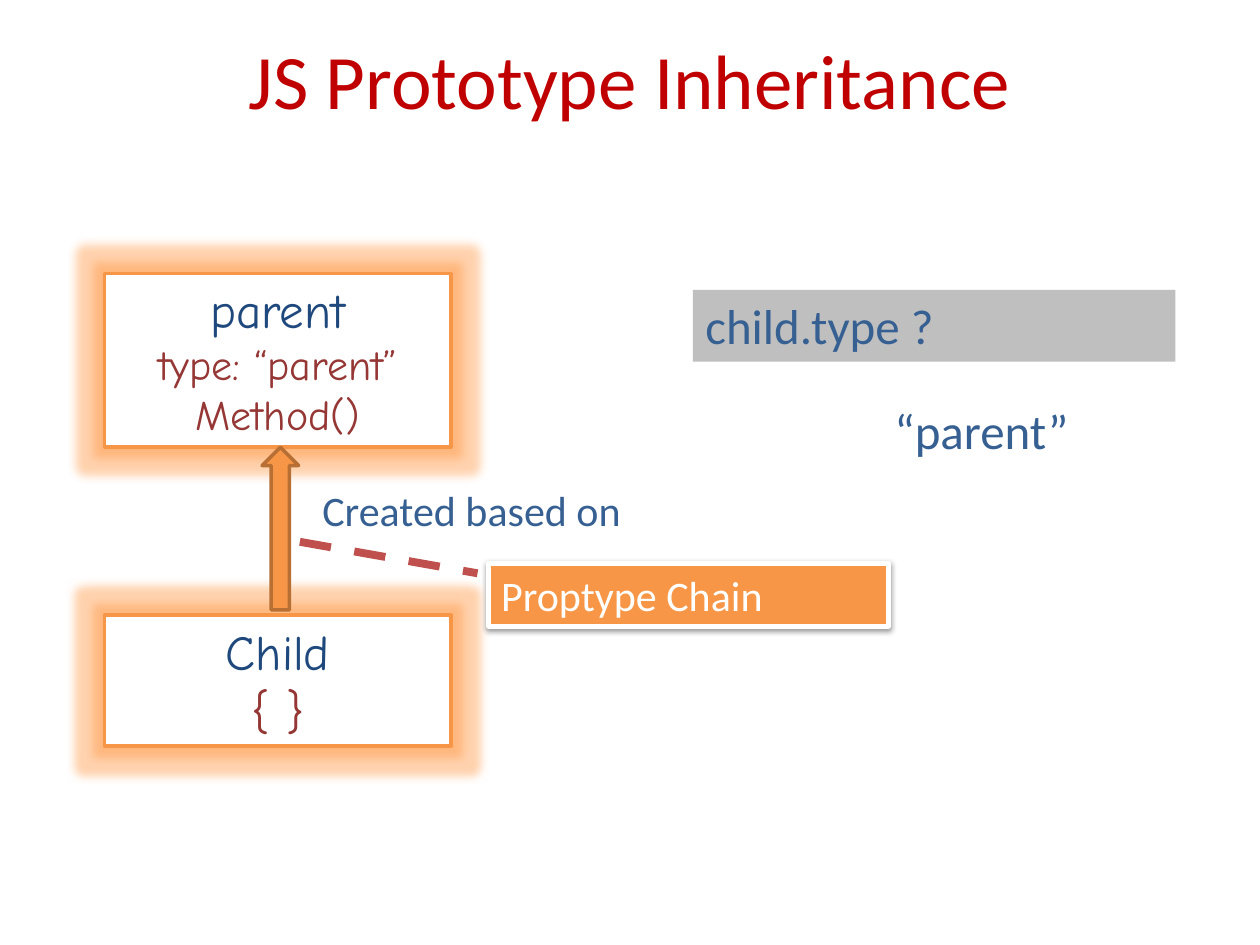
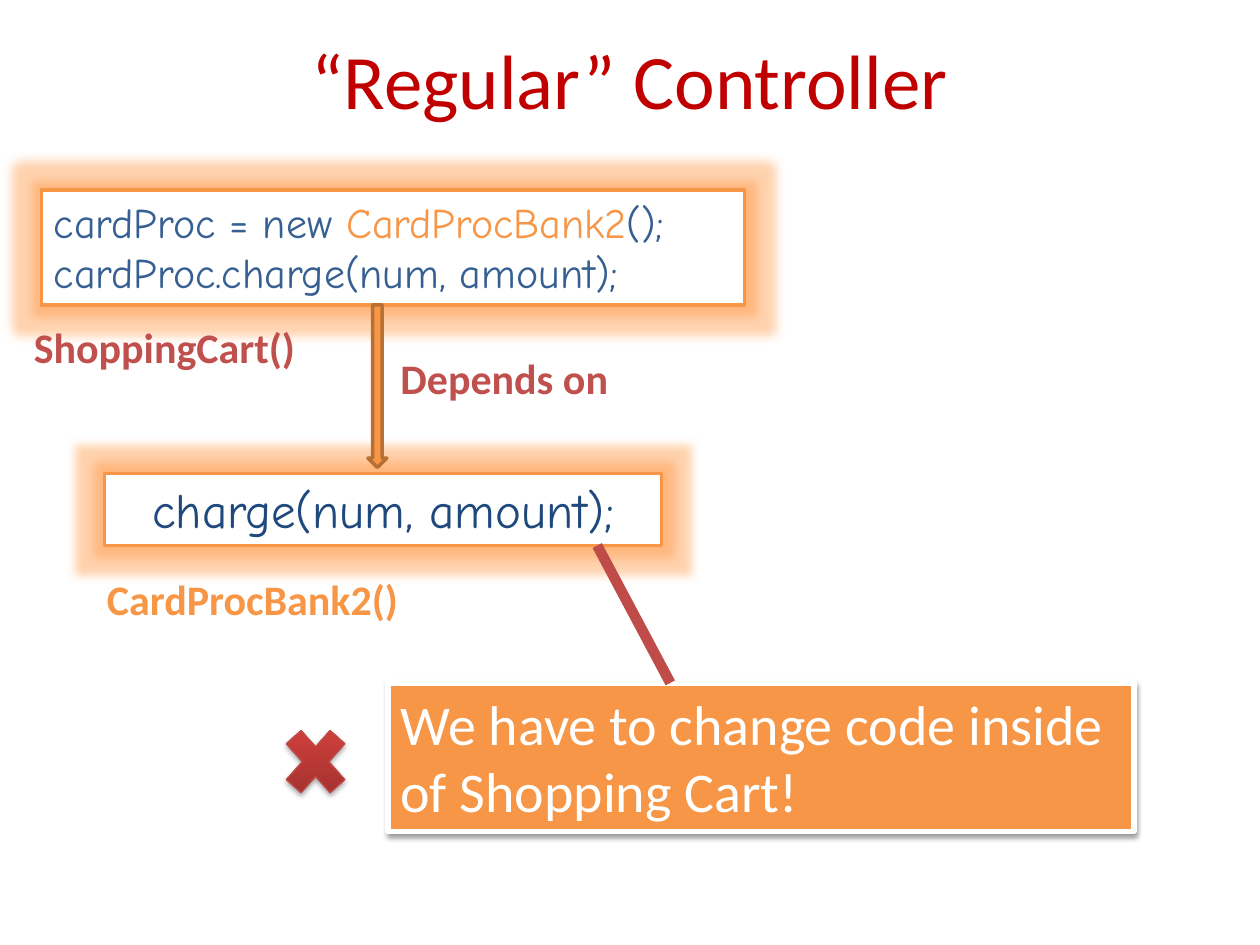
import pptx
import pptx.util
import pptx.dml.color
import pptx.enum.dml
import pptx.enum.shapes
import pptx.enum.text
import pptx.oxml
import pptx.oxml.ns

Inches = pptx.util.Inches
Pt = pptx.util.Pt
SHAPE = pptx.enum.shapes.MSO_SHAPE
ALIGN = pptx.enum.text.PP_ALIGN
NS = pptx.oxml.ns.nsdecls("a")

COLORS = {
    "title": "C00000", "white": "FFFFFF", "orange": "F79646",
    "arrow_edge": "B76F34", "glow": "FF9036", "navy": "1F497D",
    "blue": "376092", "maroon": "953735", "red": "C0504D",
    "red_edge": "BF4C48", "gray": "BFBFBF", "black": "000000",
    "cross_dark": "9C2F2D", "cross_mid": "CB3E3A", "cross_light": "CE3B37",
}
BODY_FONT = "Calibri"
CODE_FONT = "Comic Neue"


def rgb(name):
    return pptx.dml.color.RGBColor.from_string(COLORS[name])


def add_effect(sp, inner=""):
    """Give a shape or connector its effect list; an empty one means no shadow."""
    sp_pr = sp._element.spPr
    for old in sp_pr.findall(pptx.oxml.ns.qn("a:effectLst")):
        sp_pr.remove(old)
    sp_pr.append(pptx.oxml.parse_xml(f"<a:effectLst {NS}>{inner}</a:effectLst>"))


def tint(name, alpha):
    return f'<a:srgbClr val="{COLORS[name]}"><a:alpha val="{alpha * 1000}"/></a:srgbClr>'


def glow():
    return f'<a:glow rad="{Inches(0.15)}">{tint("glow", 40)}</a:glow>'


def drop_shadow(alpha, distance):
    return (f'<a:outerShdw blurRad="{Pt(3.1)}" dist="{Pt(distance)}" dir="5400000" '
            f'rotWithShape="0">{tint("black", alpha)}</a:outerShdw>')


def write(sp, lines, size, color, font=BODY_FONT, align=ALIGN.LEFT, bold=False):
    """Each line is a list of (text, overrides) runs."""
    tf = sp.text_frame
    tf.word_wrap = True
    tf.auto_size = pptx.enum.text.MSO_AUTO_SIZE.SHAPE_TO_FIT_TEXT
    tf.vertical_anchor = pptx.enum.text.MSO_ANCHOR.TOP
    for i, line in enumerate(lines):
        p = tf.paragraphs[0] if i == 0 else tf.add_paragraph()
        p.alignment = align
        for text, style in line:
            r = p.add_run()
            r.text = text
            r.font.name = font
            r.font.bold = bold
            r.font.size = Pt(style.get("size", size))
            r.font.color.rgb = rgb(style.get("color", color))


def add_shape(s, kind, box, fill=None, line=None, width=1, effect=""):
    sp = s.shapes.add_shape(kind, *map(Inches, box))
    if fill:
        sp.fill.solid()
        sp.fill.fore_color.rgb = rgb(fill)
    if line:
        sp.line.color.rgb = rgb(line)
        sp.line.width = Pt(width)
    else:
        sp.line.fill.background()
    add_effect(sp, effect)
    return sp


def add_code_box(s, box, lines, size=28, color="navy", align=ALIGN.CENTER):
    sp = add_shape(s, SHAPE.RECTANGLE, box, "white", "orange", 2, glow())
    write(sp, lines, size, color, CODE_FONT, align)


def add_callout(s, box, text, size):
    sp = add_shape(s, SHAPE.RECTANGLE, box, "orange", "white", 3, drop_shadow(38, 1.6))
    write(sp, [[(text, {})]], size, "white")


def add_label(s, box, text, color, size=24, bold=False):
    sp = s.shapes.add_textbox(*map(Inches, box))
    write(sp, [[(text, {})]], size, color, bold=bold)


def add_arrow(s, box, rotation=0):
    sp = add_shape(s, SHAPE.UP_ARROW, box, "orange", "arrow_edge", 2)
    sp.rotation = rotation


def add_line(s, start, end, color, width, dash=None):
    cn = s.shapes.add_connector(pptx.enum.shapes.MSO_CONNECTOR.STRAIGHT,
                                *map(Inches, start + end))
    cn.line.color.rgb = rgb(color)
    cn.line.width = Pt(width)
    if dash:
        cn.line.dash_style = dash
    add_effect(cn)


def add_cross(s, box):
    sp = add_shape(s, SHAPE.MATH_MULTIPLY, box, "cross_mid", "red_edge", 0.75,
                   drop_shadow(35, 1.8))
    stops = "".join(f'<a:gs pos="{pos * 1000}"><a:srgbClr val="{COLORS[name]}"/></a:gs>'
                    for pos, name in ((0, "cross_dark"), (80, "cross_mid"),
                                      (100, "cross_light")))
    gradient = pptx.oxml.parse_xml(
        f'<a:gradFill {NS} rotWithShape="1"><a:gsLst>{stops}</a:gsLst>'
        f'<a:lin ang="16200000" scaled="0"/></a:gradFill>')
    sp_pr = sp._element.spPr
    sp_pr.replace(sp_pr.find(pptx.oxml.ns.qn("a:solidFill")), gradient)


def add_titled_slide(prs, title):
    s = prs.slides.add_slide(prs.slide_layouts[5])
    sp = s.shapes.title
    sp.left, sp.top, sp.width, sp.height = map(Inches, (0.5, 0, 9, 1.25))
    tf = sp.text_frame
    tf.text = title
    tf.vertical_anchor = pptx.enum.text.MSO_ANCHOR.MIDDLE
    p = tf.paragraphs[0]
    p.alignment = ALIGN.CENTER
    font = p.runs[0].font
    font.name, font.size, font.color.rgb = BODY_FONT, Pt(44), rgb("title")
    return s


def draw_prototype_chain(s, x, y, w):
    """Parent above child, joined by an arrow and explained by a callout."""
    parent_h, child_top = 1.38, 2.71
    maroon = {"color": "maroon"}
    member = {"color": "maroon", "size": 24}
    add_code_box(s, (x, y, w, parent_h),
                 [[("parent", {})], [("type: “parent”", member)], [("Method()", member)]])
    add_code_box(s, (x, y + child_top, w, 1.04), [[("Child", {})], [("{ }", maroon)]])
    add_arrow(s, (x + 1.25, y + parent_h, 0.29, 1.29))
    add_label(s, (x + 1.63, y + 1.63, 2.92, 0.5), "Created based on", "blue")
    add_callout(s, (x + 3.05, y + 2.3, 3.17, 0.5), "Proptype Chain", 24)
    add_line(s, (x + 1.55, y + 2.13), (x + 2.96, y + 2.38), "red", 4.5,
             pptx.enum.dml.MSO_LINE.DASH)


def draw_lookup(s, x, y, w):
    """Property question and its answer."""
    row_h = 0.57
    question = add_shape(s, SHAPE.RECTANGLE, (x, y, w, row_h), "gray")
    write(question, [[("child.type ?", {})]], 28, "blue")
    add_label(s, (x + 1.5, y + 0.83, 1.83, row_h), "“parent”", "blue", 28)


def draw_dependency(s, x, y, w):
    """Shopping cart code that depends on the card processor below it."""
    cart_h, bank_top = 0.91, 2.25
    add_code_box(s, (x, y, w, cart_h),
                 [[("cardProc = new ", {}), ("CardProcBank2", {"color": "orange"}), ("();", {})],
                  [("cardProc.charge(num, amount);", {})]],
                 24, "blue", ALIGN.LEFT)
    add_code_box(s, (x + 0.5, y + bank_top, 4.42, 0.57), [[("charge(num, amount);", {})]])
    add_arrow(s, (x + 2.59, y + cart_h, 0.15, 1.29), 180)
    for dx, dy, label_w, text, color in (
            (-0.16, 0.99, 2.33, "ShoppingCart()", "red"),
            (0.42, 2.99, 2.58, "CardProcBank2()", "orange"),
            (2.75, 1.24, 2.33, "Depends on", "red")):
        add_label(s, (x + dx, y + dy, label_w, 0.5), text, color, bold=True)


def draw_problem(s, x, y, w):
    """Warning callout with its cross and the line up to the code."""
    add_callout(s, (x, y, w, 1.18), "We have to change code inside of Shopping Cart!", 32)
    add_line(s, (x + 1.66, y - 1.09), (x + 2.24, y), "red_edge", 6)
    add_cross(s, (x - 0.91, y + 0.25, 0.67, 0.75))


def main():
    prs = pptx.Presentation()
    prs.slide_width, prs.slide_height = Inches(10), Inches(7.5)

    s = add_titled_slide(prs, "JS Prototype Inheritance")
    draw_prototype_chain(s, 0.83, 2.17, 2.75)
    draw_lookup(s, 5.5, 2.3, 3.83)

    s = add_titled_slide(prs, "“Regular” Controller")
    draw_dependency(s, 0.33, 1.51, 5.58)
    draw_problem(s, 3.08, 5.42, 5.92)

    prs.save("out.pptx")


if __name__ == "__main__":
    main()
